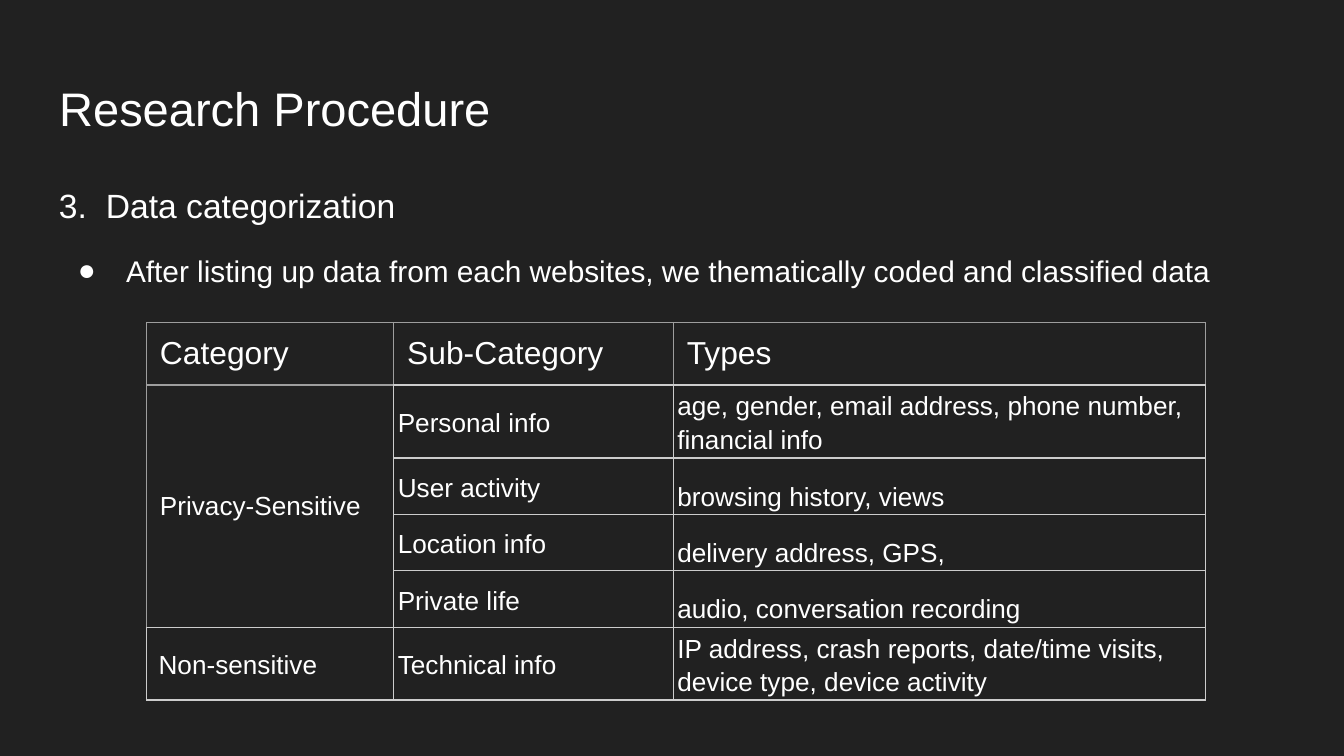
"""Build the research procedure slide with its data category table."""
from lxml import etree
from pptx import Presentation
from pptx.dml.color import RGBColor
from pptx.enum.text import MSO_ANCHOR, MSO_AUTO_SIZE, PP_ALIGN
from pptx.oxml.ns import qn
from pptx.util import Inches, Pt

TOP, MIDDLE, BOTTOM = MSO_ANCHOR.TOP, MSO_ANCHOR.MIDDLE, MSO_ANCHOR.BOTTOM
LEFT = PP_ALIGN.LEFT
NO_FIT = MSO_AUTO_SIZE.NONE
WHITE, BACKGROUND, LIGHT, GREY = "FFFFFF", "212121", "CCCCCC", "9E9E9E"
SIDES = ("L", "R", "T", "B")
MARGINS = ("margin_left", "margin_right", "margin_top", "margin_bottom")


def color(value):
    """Turn a hex string into a colour."""
    return RGBColor.from_string(value)


def write(paragraph, text, size, **formats):
    """Put white text into a paragraph and apply its formats."""
    run = paragraph.add_run()
    run.text = text
    run.font.name = "Arial"
    run.font.size = Pt(size)
    run.font.color.rgb = color(WHITE)
    for name, value in formats.items():
        setattr(paragraph, name, value)


presentation = Presentation()
presentation.slide_width = Inches(10)
presentation.slide_height = Inches(10 * 9 / 16)
slide = presentation.slides.add_slide(presentation.slide_layouts[5])
slide.background.fill.solid()
slide.background.fill.fore_color.rgb = color(BACKGROUND)

title = slide.shapes.title
title.left, title.top = Inches(0.34), Inches(0.49)
title.width, title.height = Inches(9.32), Inches(0.63)
body = slide.shapes.add_textbox(Inches(0.34), Inches(1.23), Inches(9.32), Inches(3.74))
for shape in (title, body):
    frame_formats = {"word_wrap": True, "auto_size": NO_FIT, "vertical_anchor": TOP}
    frame_formats.update(dict.fromkeys(MARGINS, Inches(0.1)))
    for name, value in frame_formats.items():
        setattr(shape.text_frame, name, value)

write(title.text_frame.paragraphs[0], "Research Procedure", 25.2, alignment=LEFT)
heading = body.text_frame.paragraphs[0]
write(heading, "3.\tData categorization", 18, line_spacing=1.15)
bullet = body.text_frame.add_paragraph()
write(bullet, "After listing up data from each websites, we thematically coded and classified data",
      16, line_spacing=1.15, space_before=Pt(12))
for paragraph, margin, indent in ((heading, 0.35, -0.35), (bullet, 0.5, -0.36)):
    properties = paragraph._p.get_or_add_pPr()
    properties.set("marL", str(Inches(margin)))
    properties.set("indent", str(Inches(indent)))
bullet_color = etree.SubElement(properties, qn("a:buClr"))
etree.SubElement(bullet_color, qn("a:srgbClr"), val=WHITE)
etree.SubElement(properties, qn("a:buSzPts"), val="1600")
etree.SubElement(properties, qn("a:buFont"), typeface="Arial")
etree.SubElement(properties, qn("a:buChar"), char="●")

rows = [
    ("Category", "Sub-Category", "Types"),
    ("Privacy-Sensitive", "Personal info",
     "age, gender, email address, phone number, financial info"),
    ("", "User activity", "browsing history, views"),
    ("", "Location info", "delivery address, GPS,"),
    ("", "Private life", "audio, conversation recording"),
    ("Non-sensitive", "Technical info",
     "IP address, crash reports, date/time visits, device type, device activity"),
]
column_widths = (1.84, 2.08, 3.96)
last_row = len(rows) - 1
table = slide.shapes.add_table(len(rows), 3, Inches(1.09), Inches(2.4),
                               Inches(sum(column_widths)), Inches(0.42 * len(rows))).table
table.first_row = table.horz_banding = False
for column, width in zip(table.columns, column_widths):
    column.width = Inches(width)
for row in table.rows:
    row.height = Inches(0.42)
table.cell(1, 0).merge(table.cell(last_row - 1, 0))

for row_index, texts in enumerate(rows):
    for column_index, text in enumerate(texts):
        cell = table.cell(row_index, column_index)
        is_header = row_index == 0
        is_group = column_index == 0 and 0 < row_index < last_row
        is_wide = is_header or is_group

        if is_header:
            grey_sides = "LRTB" if column_index == 0 else "LRT"
        else:
            grey_sides = "LT" if is_group else ""
        cell_properties = cell._tc.get_or_add_tcPr()
        for side in SIDES:
            border = etree.SubElement(cell_properties, qn(f"a:ln{side}"), w=str(Pt(0.75)))
            fill = etree.SubElement(border, qn("a:solidFill"))
            etree.SubElement(fill, qn("a:srgbClr"), val=GREY if side in grey_sides else LIGHT)
        cell.fill.background()

        margins = (0.1,) * 4 if is_wide else (0.03, 0.03, 0.02, 0.02)
        for name, value in zip(MARGINS, margins):
            setattr(cell, name, Inches(value))
        if is_header:
            cell.vertical_anchor = TOP
        else:
            is_bottom = column_index == 2 and row_index < last_row
            cell.vertical_anchor = BOTTOM if is_bottom else MIDDLE
        if text:
            write(cell.text_frame.paragraphs[0], text, 17 if is_header else 14,
                  line_spacing=1.0 if is_wide else 1.15)
table.cell(last_row, 0).margin_left = Inches(0.09)

presentation.save("out.pptx")
